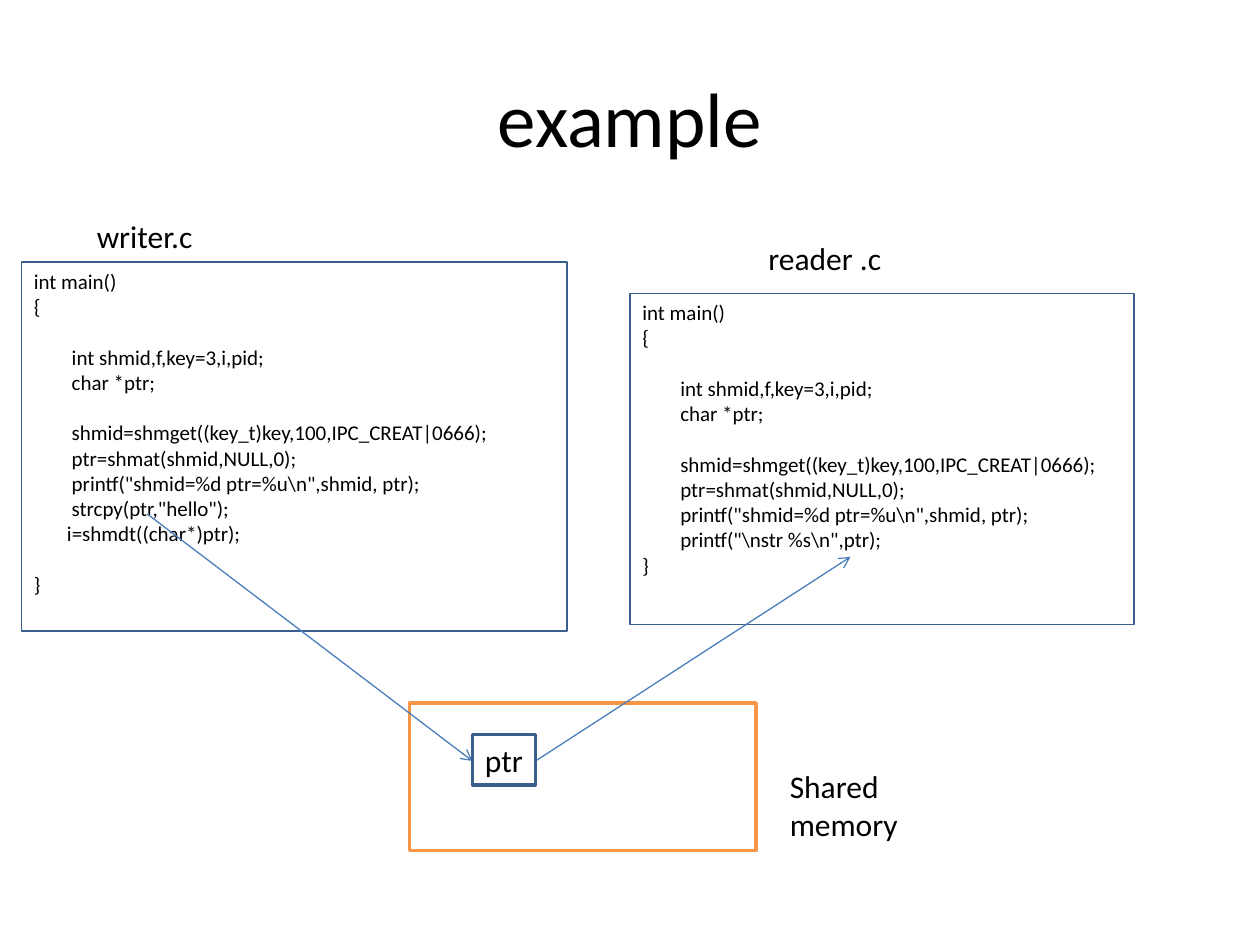
import pptx
import pptx.dml.color
import pptx.enum.shapes
import pptx.enum.text
import pptx.oxml.ns
import pptx.util
from lxml import etree
from pptx.util import Inches, Pt

ALIGN = pptx.enum.text.PP_ALIGN
ANCHOR = pptx.enum.text.MSO_ANCHOR
NAVY, BLUE, ORANGE, WHITE, BLACK = "3A5F8C", "4B7EBC", "F79646", "FFFFFF", "000000"


def rgb(value):
    """Turn a hex string into a colour."""
    return pptx.dml.color.RGBColor.from_string(value)


class Slide:
    """Holds the text style and the current slide."""

    font = "Calibri"
    code_size = 12
    code_line = Pt(14.5)
    space_width = Pt(2.71)

    def __init__(self, prs):
        self.s = prs.slides.add_slide(prs.slide_layouts[6])

    def style(self, p, size):
        """Set the font of a paragraph."""
        p.font.name = self.font
        p.font.size = Pt(size)
        p.font.color.rgb = rgb(BLACK)

    def text(self, text, x, y, w, h, size=18, align=ALIGN.LEFT, anchor=ANCHOR.TOP):
        """Add a wrapped text box."""
        tf = self.s.shapes.add_textbox(Inches(x), Inches(y), Inches(w), Inches(h)).text_frame
        tf.word_wrap = True
        tf.vertical_anchor = anchor
        p = tf.paragraphs[0]
        p.text = text
        p.alignment = align
        self.style(p, size)

    def box(self, x, y, w, h, line, width, fill=None):
        """Add an outlined rectangle and return it."""
        sp = self.s.shapes.add_shape(pptx.enum.shapes.MSO_SHAPE.RECTANGLE,
                                     Inches(x), Inches(y), Inches(w), Inches(h))
        sp.shadow.inherit = False
        if fill:
            sp.fill.solid()
            sp.fill.fore_color.rgb = rgb(fill)
        else:
            sp.fill.background()
        sp.line.color.rgb = rgb(line)
        sp.line.width = Pt(width)
        return sp

    def code(self, lines, x, y, w, h):
        """Add a framed listing of (indent, text) lines; None leaves a gap."""
        tf = self.box(x, y, w, h, NAVY, 0.75).text_frame
        tf.word_wrap = True
        tf.vertical_anchor = ANCHOR.TOP
        p, gap = None, False
        for line in lines:
            if line is None:
                gap = True
                continue
            p = tf.add_paragraph() if p else tf.paragraphs[0]
            indent, p.text = line
            p.alignment = ALIGN.LEFT
            self.style(p, self.code_size)
            if indent:
                p._p.get_or_add_pPr().set("marL", str(indent * self.space_width))
            if gap:
                p.space_before = self.code_line
            gap = False

    def arrow(self, x1, y1, x2, y2):
        """Add a thin line with an open arrowhead at its end."""
        c = self.s.shapes.add_connector(pptx.enum.shapes.MSO_CONNECTOR.STRAIGHT,
                                        Inches(x1), Inches(y1), Inches(x2), Inches(y2))
        c.line.color.rgb = rgb(BLUE)
        c.line.width = Pt(0.75)
        qn = pptx.oxml.ns.qn
        etree.SubElement(c.line._get_or_add_ln(), qn("a:tailEnd"), type="arrow")
        etree.SubElement(c._element.spPr, qn("a:effectLst"))


prs = pptx.Presentation()
prs.slide_width, prs.slide_height = Inches(10), Inches(7.5)
slide = Slide(prs)

shared_code = [
    (0, "int main()"),
    (0, "{"),
    None,
    (8, "int shmid,f,key=3,i,pid;"),
    (8, "char *ptr;"),
    None,
    (8, "shmid=shmget((key_t)key,100,IPC_CREAT|0666);"),
    (8, "ptr=shmat(shmid,NULL,0);"),
    (8, r'printf("shmid=%d ptr=%u\n",shmid, ptr);'),
]
writer_end = [(8, 'strcpy(ptr,"hello");'), (7, "i=shmdt((char*)ptr);"), None, (0, "}")]
reader_end = [(8, r'printf("\nstr %s\n",ptr);'), (0, "}")]

slide.text("example", 0.5, 0.3, 9, 1.25, 44, ALIGN.CENTER, ANCHOR.MIDDLE)
slide.code(shared_code + writer_end, 0.17, 2.08, 4.33, 2.93)
slide.code(shared_code + reader_end, 5, 2.33, 4, 2.63)
slide.text("writer.c", 0.67, 1.67, 1.67, 0.4)
slide.text("reader .c", 6, 1.85, 1.67, 0.4)

ptr_x, ptr_y, ptr_w, ptr_h = 3.75, 5.83, 0.5, 0.4
ptr_mid = 6.04
slide.box(3.25, 5.58, 2.75, 1.17, ORANGE, 2, WHITE)
slide.text("ptr", ptr_x, ptr_y, 1.25, ptr_h)
slide.arrow(1.17, 4.08, ptr_x, ptr_mid)
slide.arrow(ptr_x + ptr_w, ptr_mid, 6.75, 4.42)
slide.box(ptr_x, ptr_y, ptr_w, ptr_h, NAVY, 2)
slide.text("Shared memory", 6.17, 6.04, 1.5, 0.71)

prs.save("out.pptx")
